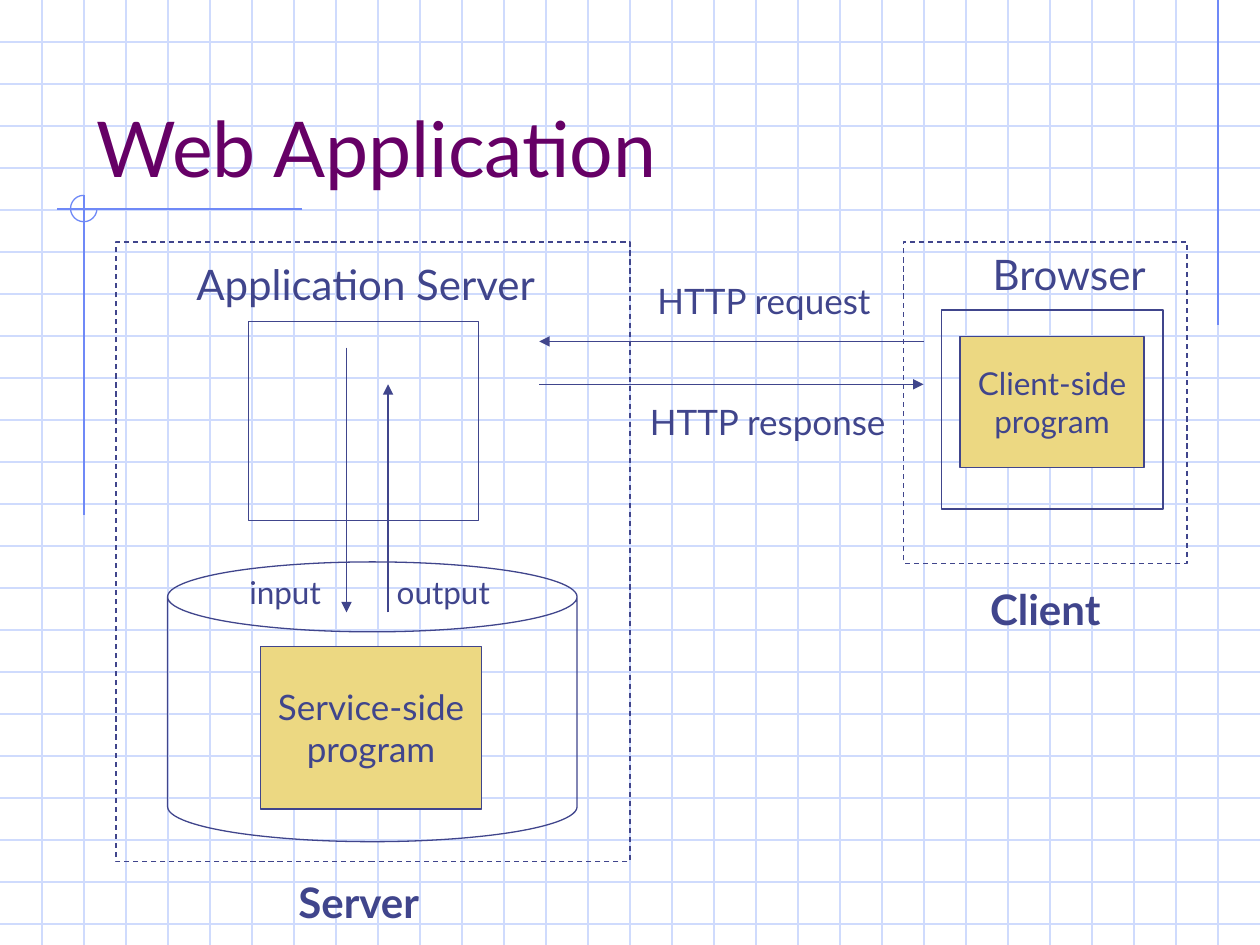
from lxml.etree import SubElement
from pptx import Presentation
from pptx.dml.color import RGBColor
from pptx.enum.dml import MSO_LINE
from pptx.enum.shapes import MSO_CONNECTOR, MSO_SHAPE
from pptx.enum.text import MSO_ANCHOR, PP_ALIGN
from pptx.oxml.ns import qn
from pptx.util import Inches, Pt

INK = "40458C"
GRID = "CFDBFD"
ACCENT = "6F89F7"
GOLD = "ECD882"
PLUM = "660066"
FONT = "Lato"
W, H = 10, 7.5


def color(value):
    return RGBColor.from_string(value)


def write(tf, lines, size, fill=INK, bold=False, align=PP_ALIGN.LEFT):
    for i, line in enumerate(lines):
        p = tf.paragraphs[0] if i == 0 else tf.add_paragraph()
        p.text = line
        p.alignment = align
        p.font.name = FONT
        p.font.size = Pt(size)
        p.font.bold = bold
        p.font.color.rgb = color(fill)


def add_label(s, x, y, w, h, text, size, bold=False):
    tf = s.shapes.add_textbox(Inches(x), Inches(y), Inches(w), Inches(h)).text_frame
    tf.word_wrap = False
    write(tf, [text], size, bold=bold)


def add_outline(s, kind, x, y, w, h, line=INK):
    sp = s.shapes.add_shape(kind, Inches(x), Inches(y), Inches(w), Inches(h))
    sp.shadow.inherit = False
    sp.fill.background()
    sp.line.color.rgb = color(line)
    sp.line.width = Pt(0.75)
    return sp


def add_zone(s, x, y, w, h):
    sp = add_outline(s, MSO_SHAPE.RECTANGLE, x, y, w, h)
    sp.line.dash_style = MSO_LINE.DASH


def add_program(s, x, y, w, h, lines, size):
    sp = add_outline(s, MSO_SHAPE.RECTANGLE, x, y, w, h)
    sp.fill.solid()
    sp.fill.fore_color.rgb = color(GOLD)
    tf = sp.text_frame
    tf.word_wrap = False
    tf.vertical_anchor = MSO_ANCHOR.MIDDLE
    write(tf, lines, size, align=PP_ALIGN.CENTER)


def add_line(s, x1, y1, x2, y2, line=INK, arrow=False):
    c = s.shapes.add_connector(
        MSO_CONNECTOR.STRAIGHT, Inches(x1), Inches(y1), Inches(x2), Inches(y2))
    c.line.color.rgb = color(line)
    c.line.width = Pt(0.75)
    if arrow:
        SubElement(c.line._get_or_add_ln(), qn("a:tailEnd"), type="triangle")
    SubElement(c._element.spPr, qn("a:effectLst"))


def add_backdrop(s, w, h, step):
    for i in range(1, int(h / step) + 1):
        add_line(s, 0, i * step, w, i * step, GRID)
    for i in range(1, int(w / step)):
        add_line(s, i * step, 0, i * step, h, GRID)
    add_line(s, w - step, 0, w - step, 2.58, ACCENT)
    add_line(s, 2.4, 1.66, 0.45, 1.66, ACCENT)
    add_line(s, 2 * step, 1.55, 2 * step, 4.09, ACCENT)
    arc = add_outline(s, MSO_SHAPE.ARC, 0.56, 1.55, 0.21, 0.21, ACCENT)
    arc.adjustments[0] = 0
    arc.adjustments[1] = 162


def add_title(s, x, y, w, h, text):
    tf = s.shapes.add_textbox(Inches(x), Inches(y), Inches(w), Inches(h)).text_frame
    tf.word_wrap = True
    tf.vertical_anchor = MSO_ANCHOR.BOTTOM
    write(tf, [text], 44, PLUM)


def add_server(s, x, y, w, h):
    add_zone(s, x, y, w, h)
    add_label(s, x + 0.54, y + 0.08, 3.04, 0.5, "Application Server", 24)
    add_outline(s, MSO_SHAPE.RECTANGLE, x + 1.05, y + 0.63, 1.83, 1.58)
    add_outline(s, MSO_SHAPE.CAN, x + 0.41, y + 2.54, 3.25, 2.22)
    add_program(s, x + 1.15, y + 3.21, 1.75, 1.29, ["Service-side", "program"], 20)
    add_line(s, x + 1.83, y + 0.84, x + 1.83, y + 2.94, arrow=True)
    add_line(s, x + 2.16, y + 2.94, x + 2.16, y + 1.13, arrow=True)
    add_label(s, x + 0.96, y + 2.58, 0.81, 0.4, "input", 18)
    add_label(s, x + 2.13, y + 2.58, 0.99, 0.4, "output", 18)
    add_label(s, x + 1.35, y + h + 0.07, 1.27, 0.5, "Server", 24, bold=True)


def add_client(s, x, y, w, h):
    add_zone(s, x, y, w, h)
    add_label(s, x + 0.61, y, 1.5, 0.5, "Browser", 24)
    add_outline(s, MSO_SHAPE.RECTANGLE, x + 0.3, y + 0.54, 1.76, 1.58)
    add_program(s, x + 0.45, y + 0.75, 1.46, 1.04, ["Client-side", "program"], 18)
    add_label(s, x + 0.59, y + h + 0.11, 1.17, 0.5, "Client", 24, bold=True)


def add_messages(s, x, y, w, h):
    add_label(s, x + 0.84, y - 0.54, 1.96, 0.44, "HTTP request", 20)
    add_line(s, x + w, y, x, y, arrow=True)
    add_line(s, x, y + h, x + w, y + h, arrow=True)
    add_label(s, x + 0.78, y + h + 0.08, 2.16, 0.44, "HTTP response", 20)


def main():
    prs = Presentation()
    prs.slide_width = Inches(W)
    prs.slide_height = Inches(H)
    s = prs.slides.add_slide(prs.slide_layouts[6])
    add_backdrop(s, W, H, 1 / 3)
    add_title(s, 0.67, 0.33, 8.5, 1.25, "Web Application")
    add_server(s, 0.92, 1.92, 4.08, 4.92)
    add_client(s, 7.17, 1.92, 2.25, 2.55)
    add_messages(s, 4.28, 2.71, 3.05, 0.34)
    prs.save("out.pptx")


if __name__ == "__main__":
    main()
